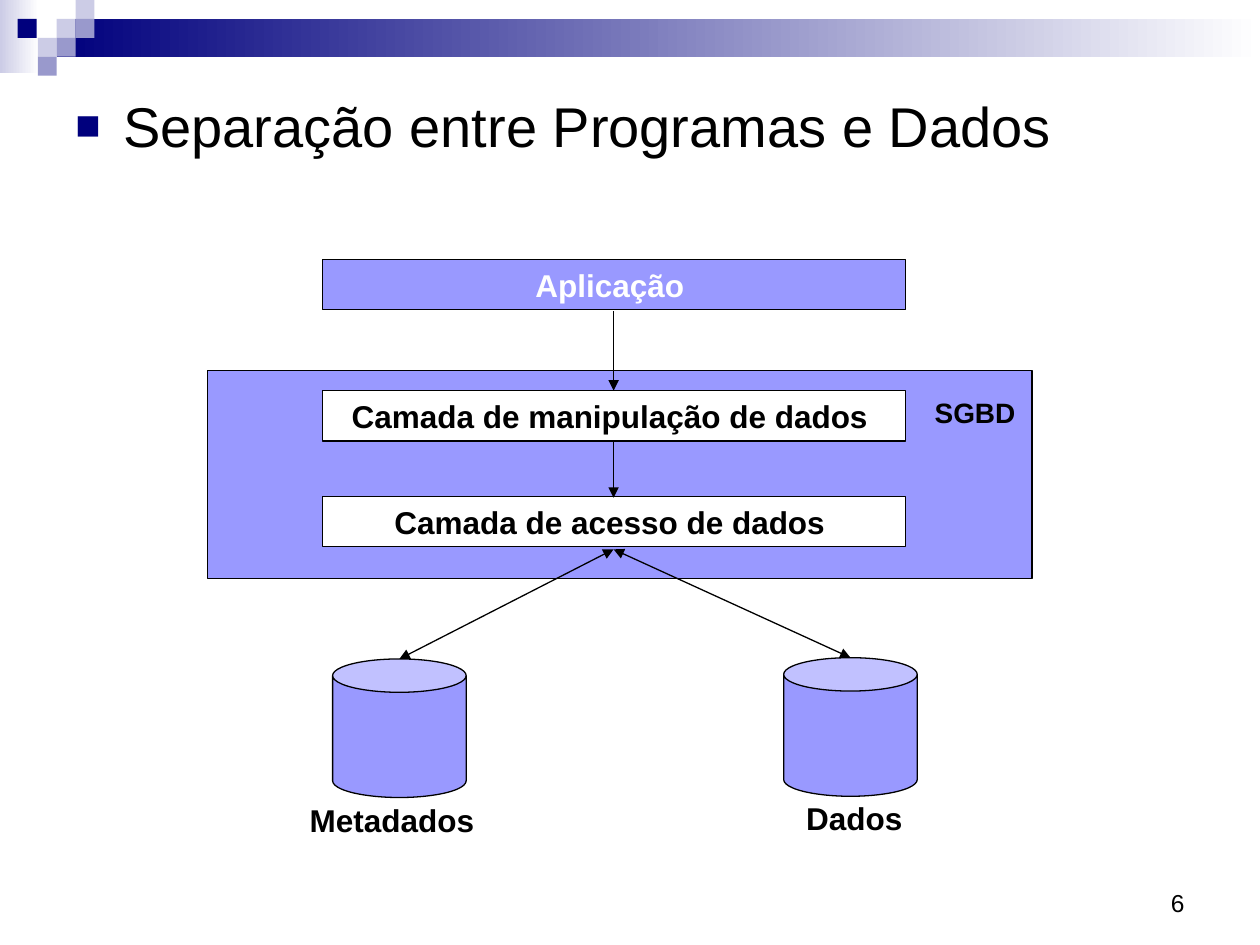
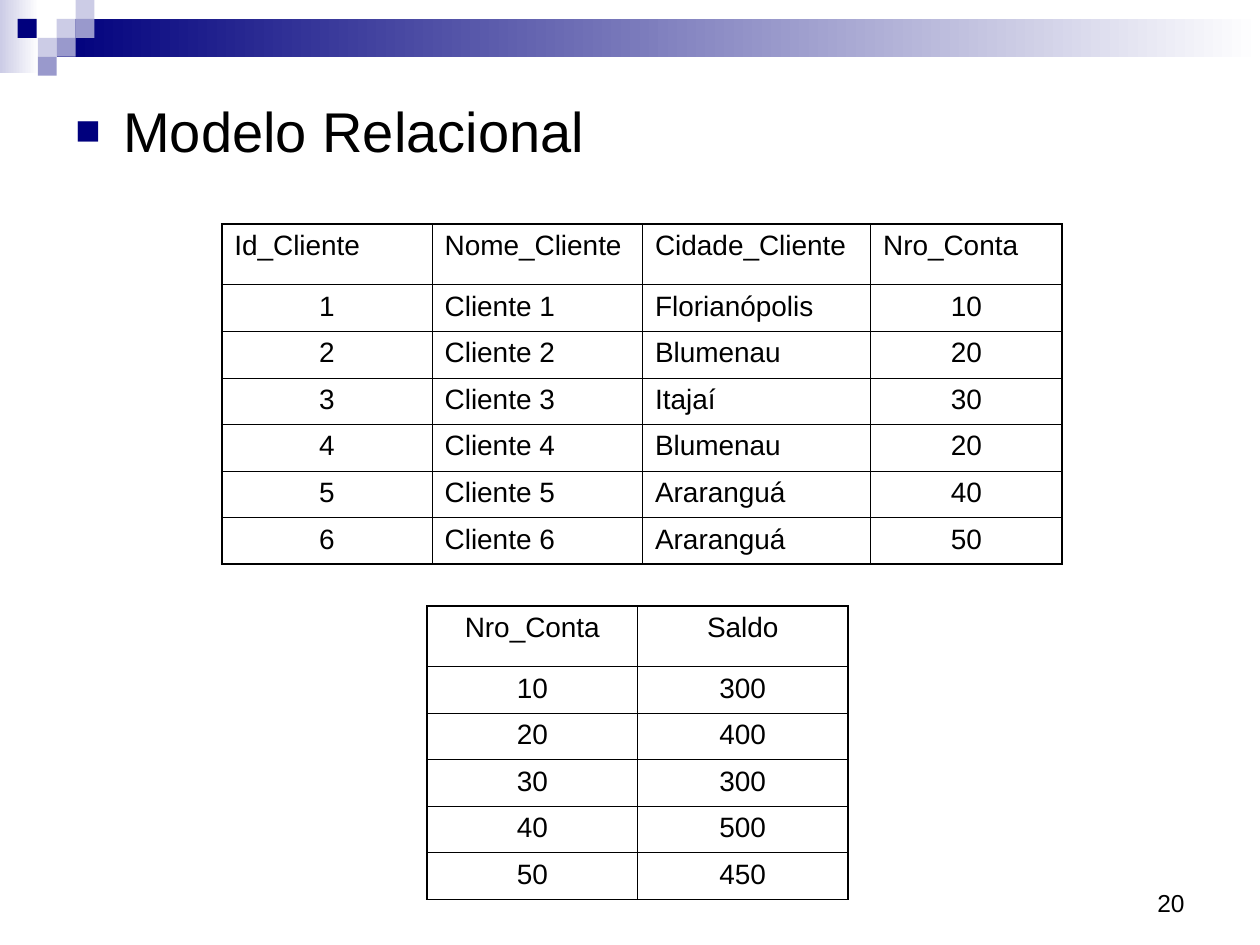
from typing import NamedTuple

from lxml import etree
from pptx import Presentation
from pptx.dml.color import RGBColor
from pptx.enum.shapes import MSO_CONNECTOR, MSO_SHAPE
from pptx.enum.text import MSO_ANCHOR, PP_ALIGN
from pptx.oxml.ns import qn
from pptx.util import Inches, Pt

RECTANGLE = MSO_SHAPE.RECTANGLE
CAN = MSO_SHAPE.CAN
STRAIGHT = MSO_CONNECTOR.STRAIGHT
LEFT, CENTER, RIGHT = PP_ALIGN.LEFT, PP_ALIGN.CENTER, PP_ALIGN.RIGHT
TOP, MIDDLE, BOTTOM = MSO_ANCHOR.TOP, MSO_ANCHOR.MIDDLE, MSO_ANCHOR.BOTTOM

FONT = "Arial"
COLORS = {
    "black": "000000",
    "white": "FFFFFF",
    "navy": "00007D",
    "lavender": "CCCCE6",
    "slate": "9999CC",
    "violet": "9999FF",
}
LINE_WIDTH = 0.75
INNER_BORDER, OUTER_BORDER = 0.45, 1.08
HEADER_HEIGHT, ROW_HEIGHT = 0.48, 0.37
SQUARE = 0.15


class Box(NamedTuple):
    left: float
    top: float
    width: float
    height: float

    def lengths(self) -> list:
        return [Inches(value) for value in self]


class Square(NamedTuple):
    left: float
    row: int
    color: str


class Layer(NamedTuple):
    text: str
    top: float
    fill: str
    text_color: str


class Label(NamedTuple):
    text: str
    box: Box
    size: int


class Arrow(NamedTuple):
    start: tuple[float, float]
    end: tuple[float, float]
    both_ends: bool = False


class DataTable(NamedTuple):
    left: float
    top: float
    widths: list[float]
    alignments: list
    header_alignment: PP_ALIGN
    rows: list[list[str]]


HEADER_SQUARES = [
    Square(0.45, 1, "lavender"),
    Square(0.6, 0, "lavender"),
    Square(0.6, 1, "slate"),
    Square(0.3, 2, "lavender"),
    Square(0.14, 1, "navy"),
    Square(0.45, 2, "slate"),
    Square(0.3, 3, "slate"),
]

SGBD_BOX = Box(1.65, 2.94, 6.54, 1.65)
LAYERS = [
    Layer("Aplicação ", 2.06, "violet", "white"),
    Layer("Camada de manipulação de dados ", 3.1, "white", "black"),
    Layer("Camada de acesso de dados ", 3.94, "white", "black"),
]
STORES = [Box(2.64, 5.23, 1.06, 1.1), Box(6.22, 5.22, 1.06, 1.1)]
LABELS = [
    Label("SGBD", Box(7.32, 3.09, 0.87, 0.37), 16),
    Label("Metadados", Box(2.36, 6.31, 1.6, 0.4), 18),
    Label("Dados", Box(6.3, 6.29, 1.06, 0.4), 18),
]
AXIS = 4.87
ARROWS = [
    Arrow((AXIS, 2.47), (AXIS, 3.1)),
    Arrow((AXIS, 3.51), (AXIS, 3.95)),
] + [
    Arrow((store.left + store.width / 2, store.top), (AXIS, 4.36), both_ends=True)
    for store in STORES
]

CITIES_AND_ACCOUNTS = [
    ("Florianópolis", "10"),
    ("Blumenau", "20"),
    ("Itajaí", "30"),
    ("Blumenau", "20"),
    ("Araranguá", "40"),
    ("Araranguá", "50"),
]
CLIENTS = DataTable(
    1.76, 1.78, [1.67, 1.67, 1.81, 1.52], [CENTER, LEFT, LEFT, CENTER], LEFT,
    [["Id_Cliente", "Nome_Cliente", "Cidade_Cliente", "Nro_Conta"]]
    + [
        [str(number), f"Cliente {number}", city, account]
        for number, (city, account) in enumerate(CITIES_AND_ACCOUNTS, start=1)
    ],
)
ACCOUNTS = DataTable(
    3.39, 4.81, [1.67, 1.67], [CENTER, CENTER], CENTER,
    [
        ["Nro_Conta", "Saldo"],
        ["10", "300"],
        ["20", "400"],
        ["30", "300"],
        ["40", "500"],
        ["50", "450"],
    ],
)


def rgb(name: str) -> RGBColor:
    return RGBColor.from_string(COLORS[name])


def write(frame, text: str, size: int, color="black", bold=False, align=LEFT):
    """Add one run to the first paragraph of the frame and return the paragraph."""
    paragraph = frame.paragraphs[0]
    paragraph.alignment = align
    run = paragraph.add_run()
    run.text = text
    run.font.name = FONT
    run.font.size = Pt(size)
    run.font.bold = bold
    run.font.color.rgb = rgb(color)
    return paragraph


def add_shape(slide, kind, box: Box, fill: str, outlined=False):
    shape = slide.shapes.add_shape(kind, *box.lengths())
    shape.shadow.inherit = False
    shape.fill.solid()
    shape.fill.fore_color.rgb = rgb(fill)
    if outlined:
        shape.line.color.rgb = rgb("black")
        shape.line.width = Pt(LINE_WIDTH)
    else:
        shape.line.fill.background()
    return shape


def add_fading_band(slide, box: Box, color: str) -> None:
    fill = add_shape(slide, RECTANGLE, box, color).fill
    fill.gradient()
    fill.gradient_angle = 0
    for stop, name in zip(fill.gradient_stops, (color, "white")):
        stop.color.rgb = rgb(name)


def add_text_box(slide, box: Box, anchor=TOP):
    frame = slide.shapes.add_textbox(*box.lengths()).text_frame
    frame.word_wrap = True
    frame.vertical_anchor = anchor
    return frame


def add_title(slide, text: str, box: Box) -> None:
    paragraph = write(add_text_box(slide, box), text, 32)
    paragraph.space_before = Pt(8)
    properties = paragraph._p.get_or_add_pPr()
    properties.set("marL", str(Inches(0.38)))
    properties.set("indent", str(Inches(-0.38)))
    bullet_color = etree.SubElement(properties, qn("a:buClr"))
    etree.SubElement(bullet_color, qn("a:srgbClr"), val=COLORS["navy"])
    etree.SubElement(properties, qn("a:buSzPct"), val="75000")
    etree.SubElement(properties, qn("a:buFont"), typeface=FONT)
    etree.SubElement(properties, qn("a:buChar"), char="■")


def add_base_slide(presentation, title: str, title_box: Box, number: int):
    """Add a slide with the header decoration, bulleted title and page number."""
    slide = presentation.slides.add_slide(presentation.slide_layouts[6])
    add_fading_band(slide, Box(0, 0, 0.31, 0.58), "lavender")
    add_fading_band(slide, Box(0.45, SQUARE, 9.55, 2 * SQUARE), "navy")
    for square in HEADER_SQUARES:
        box = Box(square.left, square.row * SQUARE, SQUARE, SQUARE)
        add_shape(slide, RECTANGLE, box, square.color)
    number_frame = add_text_box(slide, Box(7.17, 6.83, 2.33, 0.5), anchor=BOTTOM)
    write(number_frame, str(number), 14, align=RIGHT)
    add_title(slide, title, title_box)
    return slide


def add_layer(slide, layer: Layer) -> None:
    box = Box(2.56, layer.top, 4.63, 0.4)
    frame = add_shape(slide, RECTANGLE, box, layer.fill, outlined=True).text_frame
    frame.word_wrap = True
    frame.vertical_anchor = MIDDLE
    write(frame, layer.text, 18, layer.text_color, bold=True, align=CENTER)


def add_label(slide, label: Label) -> None:
    write(add_text_box(slide, label.box), label.text, label.size, bold=True)


def add_arrow(slide, arrow: Arrow) -> None:
    ends = [Inches(value) for value in (*arrow.start, *arrow.end)]
    connector = slide.shapes.add_connector(STRAIGHT, *ends)
    connector.line.color.rgb = rgb("black")
    connector.line.width = Pt(LINE_WIDTH)
    properties = connector._element.spPr
    line = properties.find(qn("a:ln"))
    if arrow.both_ends:
        etree.SubElement(line, qn("a:headEnd"), type="triangle")
    etree.SubElement(line, qn("a:tailEnd"), type="triangle")
    etree.SubElement(properties, qn("a:effectLst"))


def set_borders(cell, outer_sides: dict[str, bool]) -> None:
    """Draw the four cell borders, heavier on the sides that edge the table."""
    properties = cell._tc.get_or_add_tcPr()
    for position, (side, is_outer) in enumerate(outer_sides.items()):
        width = OUTER_BORDER if is_outer else INNER_BORDER
        line = etree.Element(qn(f"a:ln{side}"), w=str(Pt(width)))
        fill = etree.SubElement(line, qn("a:solidFill"))
        etree.SubElement(fill, qn("a:srgbClr"), val=COLORS["black"])
        properties.insert(position, line)


def add_data_table(slide, data: DataTable) -> None:
    last_row, last_column = len(data.rows) - 1, len(data.widths) - 1
    heights = [HEADER_HEIGHT] + [ROW_HEIGHT] * last_row
    box = Box(data.left, data.top, sum(data.widths), sum(heights))
    table = slide.shapes.add_table(
        len(heights), len(data.widths), *box.lengths()
    ).table
    table.first_row = table.horz_banding = False
    for column, width in zip(table.columns, data.widths):
        column.width = Inches(width)
    for row, height in zip(table.rows, heights):
        row.height = Inches(height)
    for row_index, values in enumerate(data.rows):
        for column_index, value in enumerate(values):
            cell = table.cell(row_index, column_index)
            cell.fill.background()
            align = data.alignments[column_index] if row_index else data.header_alignment
            write(cell.text_frame, value, 16, align=align).space_before = Pt(4)
            set_borders(cell, {
                "L": column_index == 0,
                "R": column_index == last_column,
                "T": row_index == 0,
                "B": row_index == last_row,
            })


def build_architecture_slide(presentation) -> None:
    slide = add_base_slide(
        presentation, "Separação entre Programas e Dados", Box(0.5, 0.68, 9.19, 0.98), 6
    )
    add_shape(slide, RECTANGLE, SGBD_BOX, "violet", outlined=True)
    for layer in LAYERS:
        add_layer(slide, layer)
    for store in STORES:
        add_shape(slide, CAN, store, "violet", outlined=True)
    for label in LABELS:
        add_label(slide, label)
    for arrow in ARROWS:
        add_arrow(slide, arrow)


def build_relational_slide(presentation) -> None:
    slide = add_base_slide(
        presentation, "Modelo Relacional", Box(0.5, 0.72, 9.19, 0.87), 20
    )
    for data in (CLIENTS, ACCOUNTS):
        add_data_table(slide, data)


def main() -> None:
    presentation = Presentation()
    presentation.slide_width = Inches(10)
    presentation.slide_height = Inches(7.5)
    build_architecture_slide(presentation)
    build_relational_slide(presentation)
    presentation.save("out.pptx")


if __name__ == "__main__":
    main()
